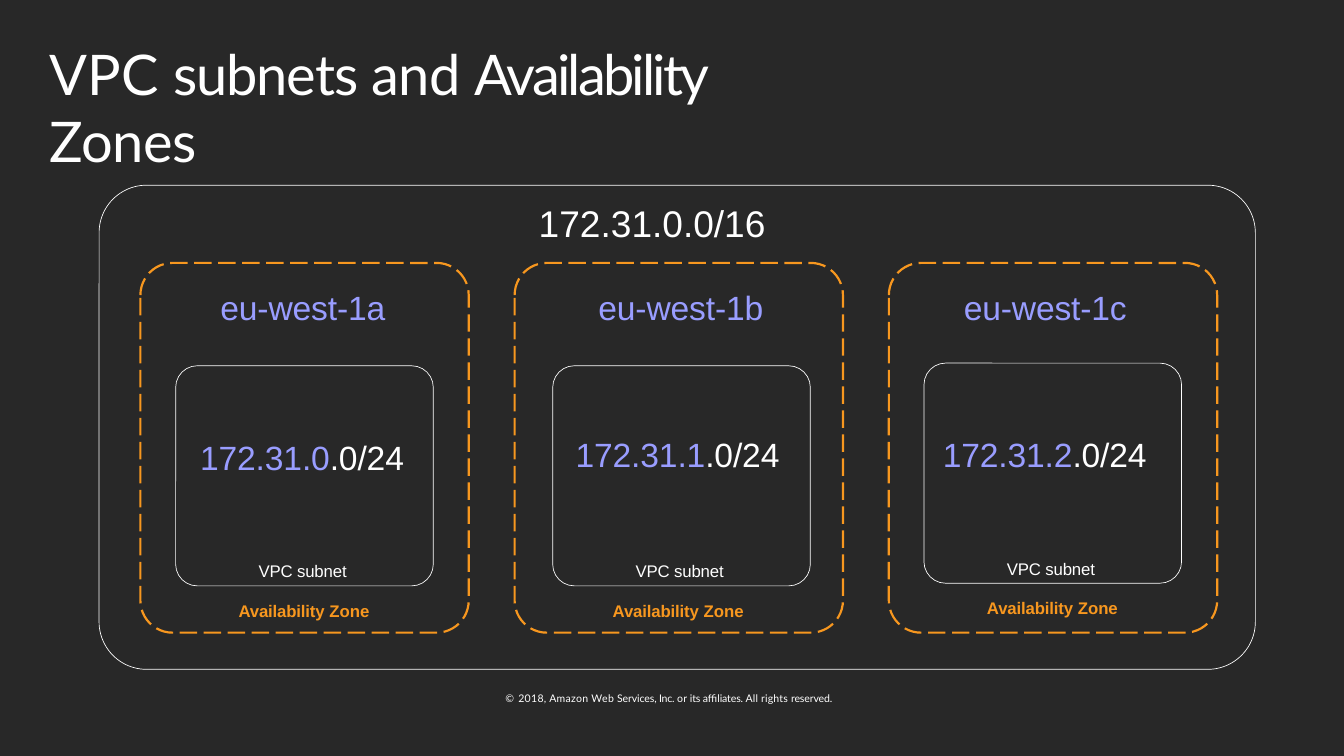
from pptx import Presentation
from pptx.dml.color import RGBColor
from pptx.enum.dml import MSO_LINE
from pptx.enum.shapes import MSO_SHAPE
from pptx.enum.text import MSO_ANCHOR, MSO_AUTO_SIZE, PP_ALIGN
from pptx.util import Pt

DARK = RGBColor(0x28, 0x28, 0x28)
WHITE = RGBColor(0xFF, 0xFF, 0xFF)
ORANGE = RGBColor(0xF7, 0x97, 0x1F)
LILAC = RGBColor(0x99, 0x9D, 0xFF)

prs = Presentation()
prs.slide_width, prs.slide_height = Pt(960), Pt(540)
slide = prs.slides.add_slide(prs.slide_layouts[5])
slide.background.fill.solid()
slide.background.fill.fore_color.rgb = DARK


def write(box, left, top, width, height, runs, size, font="Arial", bold=False):
    box.left, box.top, box.width, box.height = Pt(left), Pt(top), Pt(width), Pt(height)
    frame = box.text_frame
    frame.word_wrap = True
    frame.auto_size = MSO_AUTO_SIZE.NONE
    frame.vertical_anchor = MSO_ANCHOR.TOP
    frame.margin_left, frame.margin_top = Pt(1), Pt(2)
    frame.margin_right = frame.margin_bottom = 0
    paragraph = frame.paragraphs[0]
    paragraph.alignment = PP_ALIGN.LEFT
    for text, color, tracking in runs:
        run = paragraph.add_run()
        run.text = text
        run.font.name, run.font.size, run.font.bold = font, Pt(size), bold
        run.font.color.rgb = color
        run._r.get_or_add_rPr().set("spc", str(round(tracking * 100)))


def outline(left, top, width, height, color, weight, dash=None):
    frame = slide.shapes.add_shape(
        MSO_SHAPE.ROUNDED_RECTANGLE, Pt(left), Pt(top), Pt(width), Pt(height))
    frame.adjustments[0] = 0.098
    frame.shadow.inherit = False
    frame.fill.background()
    frame.line.color.rgb = color
    frame.line.width = Pt(weight)
    if dash:
        frame.line.dash_style = dash


title_runs = [("VPC ", 0.1), ("subnets ", -0.8), ("and ", -0.5),
              ("Availability ", -2), ("Zones", -0.4)]
write(slide.shapes.title, 34.5, 26, 579, 50,
      [(text, WHITE, tracking) for text, tracking in title_runs], 40, "Lato")

outline(70.8, 132.3, 825.9, 345.8, WHITE, 0.48)
write(slide.shapes.add_textbox(0, 0, 0, 0), 383.8, 141.1, 165, 34,
      [("172.31.0.0/16", WHITE, 0)], 26.5)

zones = [
    ("eu-west-1a", 156.5, "172.31.0", 142, 310.3, 125.5, 261.3, 427),
    ("eu-west-1b", 426.5, "172.31.1", 410.2, 308.2, 394.8, 261.3, 427),
    ("eu-west-1c", 687.5, "172.31.2", 672.5, 308.2, 660, 259.4, 425),
]
for i, (zone, zone_left, prefix, range_left, range_top,
        subnet_left, subnet_top, caption_top) in enumerate(zones):
    offset = 267.3 * i
    outline(100.3 + offset, 187.8, 234.5, 264.1, ORANGE, 1.56, MSO_LINE.LONG_DASH)
    outline(subnet_left, subnet_top, 184, 157.2, WHITE, 0.48)
    labels = [
        (169.4 + offset, caption_top, 97, 17,
         [("Availability ", ORANGE, -0.1), ("Zone", ORANGE, 0)], 12, True),
        (subnet_left + 58.2, subnet_top + 137.5, 67, 17,
         [("VPC subnet", WHITE, -0.1)], 12, False),
        (range_left, range_top, 150, 31,
         [(prefix, LILAC, -0.1), (".0/24", WHITE, -0.1)], 24, False),
        (zone_left, 203, 122, 31, [(zone, LILAC, -0.1)], 24, False),
    ]
    for left, top, width, height, runs, size, bold in labels:
        write(slide.shapes.add_textbox(0, 0, 0, 0), left, top, width, height,
              runs, size, bold=bold)

copyright_runs = [("© ", 0.5), ("2018, Amazon Web ", 0.2), ("Services, ", -0.1),
                  ("Inc. ", -0.2), ("or ", 0.1), ("its affiliates. ", -0.1),
                  ("All rights ", 0.1), ("reserved.", -0.1)]
write(slide.shapes.add_textbox(0, 0, 0, 0), 360, 492, 240, 11,
      [(text, WHITE, tracking) for text, tracking in copyright_runs], 7.5, "Lato")

prs.save("out.pptx")
